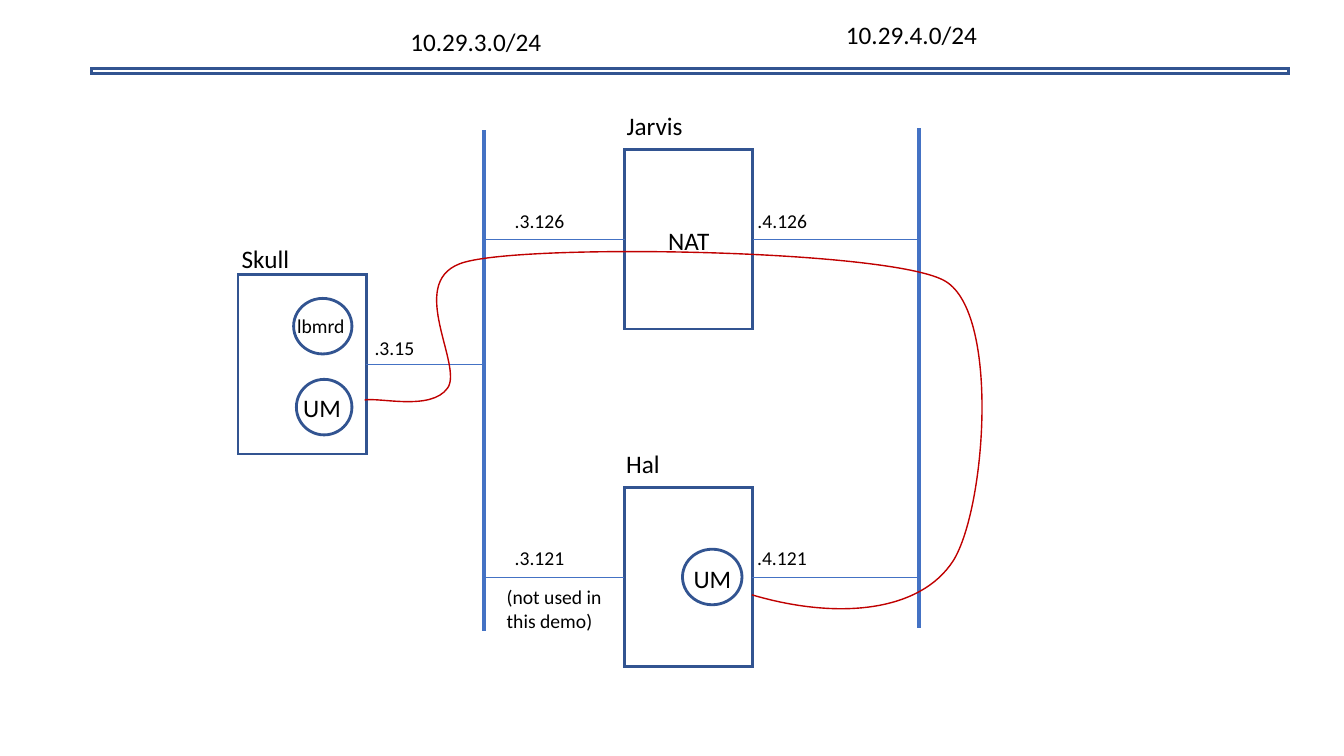
import pptx
import pptx.util
import pptx.dml.color
import pptx.enum.shapes
import pptx.enum.text
import pptx.oxml.ns
import lxml.etree

Cm, Pt, qn = pptx.util.Cm, pptx.util.Pt, pptx.oxml.ns.qn
SHAPES = pptx.enum.shapes.MSO_SHAPE
COLOURS = {"outline": "325491", "network": "4472C4", "route": "C00000", "text": "000000"}
HOST_WIDTH, HOST_HEIGHT = 3.23, 4.52
LEFT_BUS, RIGHT_BUS = 12.2, 23.16


def colour(name):
    """Look up a named colour."""
    return pptx.dml.color.RGBColor.from_string(COLOURS[name])


def add_text(page, box, text, size=18):
    """Place a wrapped, top-aligned text in a box given in centimetres."""
    frame = page.shapes.add_textbox(*map(Cm, box)).text_frame
    frame.word_wrap = True
    frame.auto_size = pptx.enum.text.MSO_AUTO_SIZE.SHAPE_TO_FIT_TEXT
    para = frame.paragraphs[0]
    para.text = text
    para.font.size = Pt(size)
    para.font.name = "Calibri"
    para.font.color.rgb = colour("text")


def style_outline(shape, name, width):
    """Leave a shape unfilled, with a plain, sharp-cornered outline."""
    shape.shadow.inherit = False
    shape.fill.background()
    shape.line.color.rgb = colour(name)
    shape.line.width = Pt(width)
    line = shape._element.spPr.find(qn("a:ln"))
    lxml.etree.SubElement(line, qn("a:miter"), lim="800000")


def add_outline(page, kind, box):
    """Draw a preset shape with the standard outline."""
    style_outline(page.shapes.add_shape(kind, *map(Cm, box)), "outline", 2)


def add_line(page, start, end, width):
    """Draw a straight network line between two points."""
    line = page.shapes.add_connector(
        pptx.enum.shapes.MSO_CONNECTOR.STRAIGHT, *map(Cm, start + end))
    line.line.color.rgb = colour("network")
    line.line.width = Pt(width)
    lxml.etree.SubElement(line._element.spPr, qn("a:effectLst"))


def add_header(page, box):
    """Draw the double rule and the subnet names above it."""
    left, top, width, height = box
    add_outline(page, SHAPES.RECTANGLE, box)
    add_text(page, (left + 7.79, top - 1.2, 5.66, 1.02), "10.29.3.0/24")
    add_text(page, (left + 18.77, top - 1.36, 4.83, 1.02), "10.29.4.0/24")


def add_host(page, origin, name, name_offset):
    """Draw a host box with its name above; return its box."""
    left, top = origin
    box = (left, top, HOST_WIDTH, HOST_HEIGHT)
    add_outline(page, SHAPES.RECTANGLE, box)
    add_text(page, (left + name_offset[0], top + name_offset[1], 4.19, 1.07), name)
    return box


def add_process(page, host, circle, text_box, text, size=18):
    """Draw a named process circle inside a host box."""
    left, top = host[:2]
    add_outline(page, SHAPES.OVAL, (left + circle[0], top + circle[1], *circle[2:]))
    add_text(page, (left + text_box[0], top + text_box[1], *text_box[2:]), text, size)


def add_link(page, host, bus, address, label_left, label_lift=0.9):
    """Join the middle of a host's side to a bus and label the address."""
    left, top, width, height = host
    side = left if bus < left else left + width
    middle = top + height / 2
    add_line(page, (bus, middle), (side, middle), 0.5)
    add_text(page, (label_left, middle - label_lift, 4.19, 0.86), address, 14)


def add_route(page, box, start, curves):
    """Draw the route as an open path of cubic curves within a box."""
    left, top, width, height = box
    builder = page.shapes.build_freeform(Cm(left), Cm(top))
    builder.add_line_segments([(Cm(left + width), Cm(top + height))], close=False)
    route = builder.convert_to_shape()
    style_outline(route, "route", 1)
    outline = next(route._element.iter(qn("a:path")))
    for segment in list(outline):
        outline.remove(segment)
    pieces = [("a:moveTo", (start,))] + [("a:cubicBezTo", curve) for curve in curves]
    for tag, points in pieces:
        segment = lxml.etree.SubElement(outline, qn(tag))
        for x, y in points:
            lxml.etree.SubElement(segment, qn("a:pt"),
                                  x=str(Cm(x - left)), y=str(Cm(y - top)))


def build_network(page):
    """Place the header, buses, hosts, links and route."""
    add_header(page, (2.3, 1.73, 30.17, 0.13))
    add_line(page, (LEFT_BUS, 3.28), (LEFT_BUS, 15.9), 3)
    add_line(page, (RIGHT_BUS, 3.23), (RIGHT_BUS, 15.82), 3)

    skull = add_host(page, (6, 6.92), "Skull", (-0.16, -0.92))
    add_process(page, skull, (1.4, 0.6, 1.47, 1.4), (1.24, 0.87, 2.41, 0.86), "lbmrd", 14)
    add_process(page, skull, (1.47, 2.64, 1.4, 1.4), (1.39, 2.83, 1.57, 1.02), "UM")
    add_link(page, skull, LEFT_BUS, ".3.15", 9.19, 0.85)

    jarvis = add_host(page, (15.74, 3.77), "Jarvis", (-0.2, -1.11))
    hal = add_host(page, (15.73, 12.28), "Hal", (-0.2, -1.1))
    for host, number in ((jarvis, 126), (hal, 121)):
        add_link(page, host, LEFT_BUS, f".3.{number}", 12.72)
        add_link(page, host, RIGHT_BUS, f".4.{number}", host[0] + HOST_WIDTH - 0.13)
    add_text(page, (jarvis[0] + 0.85, jarvis[1] + 1.79, 1.93, 1.07), "NAT")
    add_process(page, hal, (1.47, 1.56, 1.5, 1.4), (1.5, 1.79, 1.57, 1.02), "UM")
    add_text(page, (12.52, 14.62, 3.02, 1.45), "(not used in this demo)", 14)

    add_route(page, (9.19, 6.35, 15.54, 8.99), (18.95, 14.99), (
        ((21.08, 15.62), (23.19, 15.44), (24.03, 14.12)),
        ((24.84, 12.8), (25.2, 7.92), (23.83, 7.09)),
        ((22.48, 6.27), (12.88, 6.12), (11.58, 6.65)),
        ((10.26, 7.16), (11.68, 9.22), (11.28, 9.78)),
        ((10.87, 10.36), (9.58, 10.01), (9.19, 10.08))))


deck = pptx.Presentation()
deck.slide_width, deck.slide_height = Cm(33.87), Cm(19.05)
build_network(deck.slides.add_slide(deck.slide_layouts[6]))
deck.save("out.pptx")
